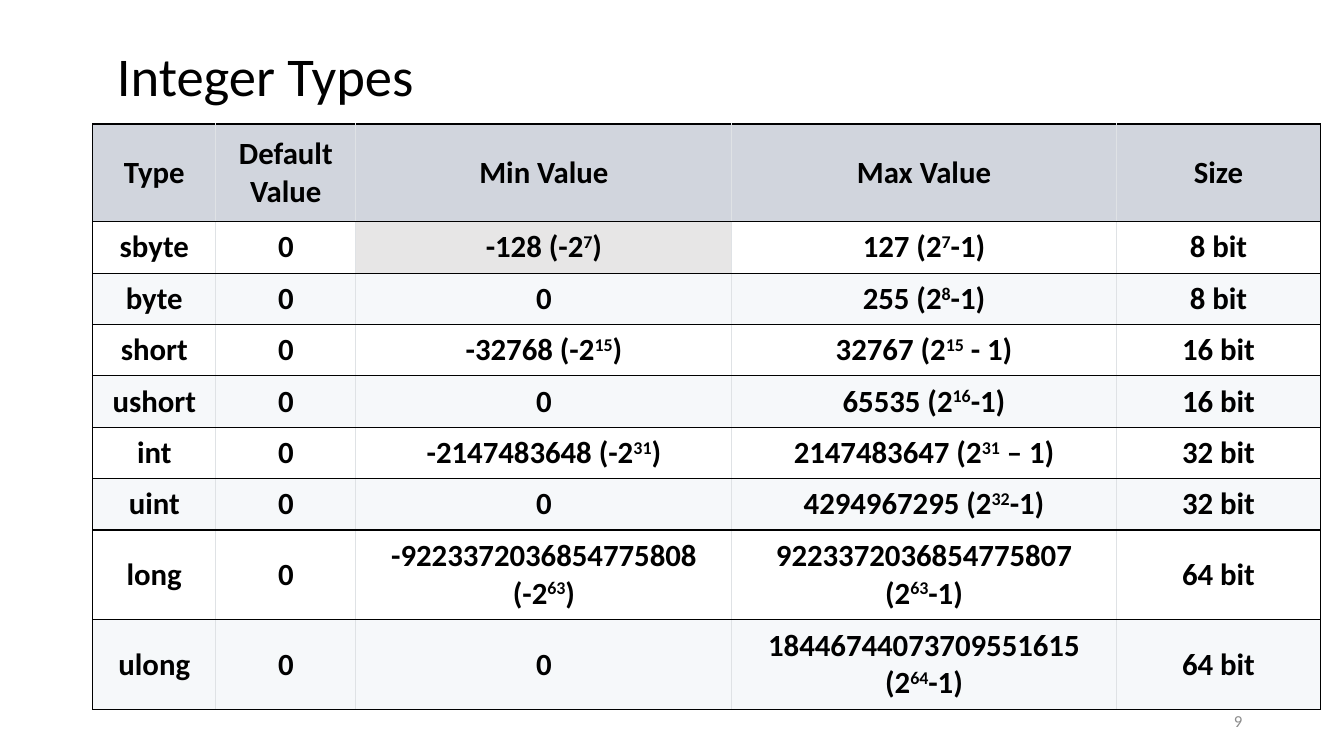
from dataclasses import dataclass

from lxml import etree
from pptx import Presentation
from pptx.dml.color import RGBColor
from pptx.enum.text import MSO_ANCHOR, MSO_AUTO_SIZE, PP_ALIGN
from pptx.oxml.ns import qn
from pptx.util import Inches, Pt

MIDDLE = MSO_ANCHOR.MIDDLE
NO_AUTOFIT = MSO_AUTO_SIZE.NONE
LEFT, CENTER, RIGHT = PP_ALIGN.LEFT, PP_ALIGN.CENTER, PP_ALIGN.RIGHT
TITLE_ONLY = 5


@dataclass(frozen=True)
class Theme:
    font: str = "Calibri"
    ink: str = "000000"
    muted: str = "8C8C8C"
    header: str = "D1D5DD"
    plain: str = "FFFFFF"
    band: str = "F6F8FA"
    highlight: str = "E7E6E6"
    divider: str = "DFE2E5"
    title_size: float = 39
    table_size: float = 22
    number_size: float = 12


@dataclass(frozen=True)
class TextStyle:
    size: float
    color: str
    align: PP_ALIGN
    bold: bool = False


@dataclass(frozen=True)
class IntegerType:
    name: str
    minimum: str
    maximum: str
    bits: int
    height: float = 0.51

    def texts(self) -> list[str]:
        return [self.name, "0", self.minimum, self.maximum, f"{self.bits} bit"]


THEME = Theme()
TITLE_STYLE = TextStyle(THEME.title_size, THEME.ink, LEFT)
TABLE_STYLE = TextStyle(THEME.table_size, THEME.ink, CENTER, True)
NUMBER_STYLE = TextStyle(THEME.number_size, THEME.muted, RIGHT)

# Carets enclose exponents; "\n" starts a paragraph and "\v" breaks a line
HEADINGS = ["Type", "Default\vValue", "Min Value", "Max Value", "Size"]
HEADER_HEIGHT = 0.97
COLUMN_WIDTHS = [1.22, 1.39, 3.73, 3.81, 2.03]
INTEGER_TYPES = [
    IntegerType("sbyte", "-128 (-2^7^)", "127 (2^7^-1)", 8),
    IntegerType("byte", "0", "255 (2^8^-1)", 8),
    IntegerType("short", "-32768 (-2^15^)", "32767 (2^15^ - 1)", 16),
    IntegerType("ushort", "0", "65535 (2^16^-1)", 16),
    IntegerType("int", "-2147483648 (-2^31^)", "2147483647 (2^31^ – 1)", 32),
    IntegerType("uint", "0", "4294967295 (2^32^-1)", 32),
    IntegerType("long", "-9223372036854775808\n(-2^63^)",
                "9223372036854775807\n(2^63^-1)", 64, 0.89),
    IntegerType("ulong", "0", "18446744073709551615\n(2^64^-1)", 64, 0.89),
]
HIGHLIGHTED_CELL = (1, 2)


def set_values(target, values: dict) -> None:
    for name, value in values.items():
        setattr(target, name, value)


def margins(side: float, end: float) -> dict:
    return {"margin_left": Inches(side), "margin_right": Inches(side),
            "margin_top": Inches(end), "margin_bottom": Inches(end)}


def write_text(frame, text: str, style: TextStyle) -> None:
    for index, line in enumerate(text.split("\n")):
        para = frame.add_paragraph() if index else frame.paragraphs[0]
        para.alignment = style.align
        for part_index, part in enumerate(line.split("^")):
            for piece_index, piece in enumerate(part.split("\v")):
                if piece_index:
                    para.add_line_break()
                span = para.add_run()
                span.text = piece
                set_values(span.font, {"name": THEME.font, "size": Pt(style.size),
                                       "bold": style.bold})
                span.font.color.rgb = RGBColor.from_string(style.color)
                if part_index % 2:
                    span.font._element.set("baseline", "30000")


def set_borders(cell, first: bool, last: bool) -> None:
    outer, inner = (THEME.ink, 1), (THEME.divider, 0.75)
    edges = {"a:lnL": outer if first else inner, "a:lnR": outer if last else inner,
             "a:lnT": outer, "a:lnB": outer}
    properties = cell._tc.get_or_add_tcPr()
    for index, (tag, (color, width)) in enumerate(edges.items()):
        line = etree.Element(qn(tag), w=str(Pt(width)))
        fill = etree.SubElement(line, qn("a:solidFill"))
        etree.SubElement(fill, qn("a:srgbClr"), val=color)
        properties.insert(index, line)


def cell_color(row: int, column: int) -> str:
    if (row, column) == HIGHLIGHTED_CELL:
        return THEME.highlight
    if row == 0:
        return THEME.header
    return THEME.plain if row % 2 else THEME.band


def draw_table(page) -> None:
    rows = [HEADINGS] + [kind.texts() for kind in INTEGER_TYPES]
    heights = [HEADER_HEIGHT] + [kind.height for kind in INTEGER_TYPES]
    table = page.shapes.add_table(
        len(rows), len(HEADINGS), Inches(0.92), Inches(1.23),
        Inches(sum(COLUMN_WIDTHS)), Inches(sum(heights))).table
    set_values(table, {"first_row": False, "horz_banding": False})
    for column, width in zip(table.columns, COLUMN_WIDTHS):
        column.width = Inches(width)
    for row, height in zip(table.rows, heights):
        row.height = Inches(height)
    for row_index, texts in enumerate(rows):
        for column_index, text in enumerate(texts):
            cell = table.cell(row_index, column_index)
            set_values(cell, {"vertical_anchor": MIDDLE, **margins(0.12, 0.06)})
            cell.fill.solid()
            cell.fill.fore_color.rgb = RGBColor.from_string(
                cell_color(row_index, column_index))
            set_borders(cell, column_index == 0, column_index == len(texts) - 1)
            write_text(cell.text_frame, text, TABLE_STYLE)


def draw_title(page) -> None:
    title = page.shapes.title
    set_values(title, {"left": Inches(1.04), "top": Inches(0.26),
                       "width": Inches(9.18), "height": Inches(0.97)})
    set_values(title.text_frame, {"vertical_anchor": MIDDLE, "word_wrap": True,
                                  "auto_size": NO_AUTOFIT, **margins(0.12, 0.04)})
    write_text(title.text_frame, "Integer Types", TITLE_STYLE)


def draw_page_number(page) -> None:
    box = page.shapes.add_textbox(Inches(9.42), Inches(6.95), Inches(3), Inches(0.4))
    set_values(box.text_frame, {"vertical_anchor": MIDDLE, "word_wrap": True})
    write_text(box.text_frame, "9", NUMBER_STYLE)


def main() -> None:
    deck = Presentation()
    set_values(deck, {"slide_width": Inches(13.33), "slide_height": Inches(7.5)})
    page = deck.slides.add_slide(deck.slide_layouts[TITLE_ONLY])
    draw_page_number(page)
    draw_table(page)
    draw_title(page)
    deck.save("out.pptx")


if __name__ == "__main__":
    main()
